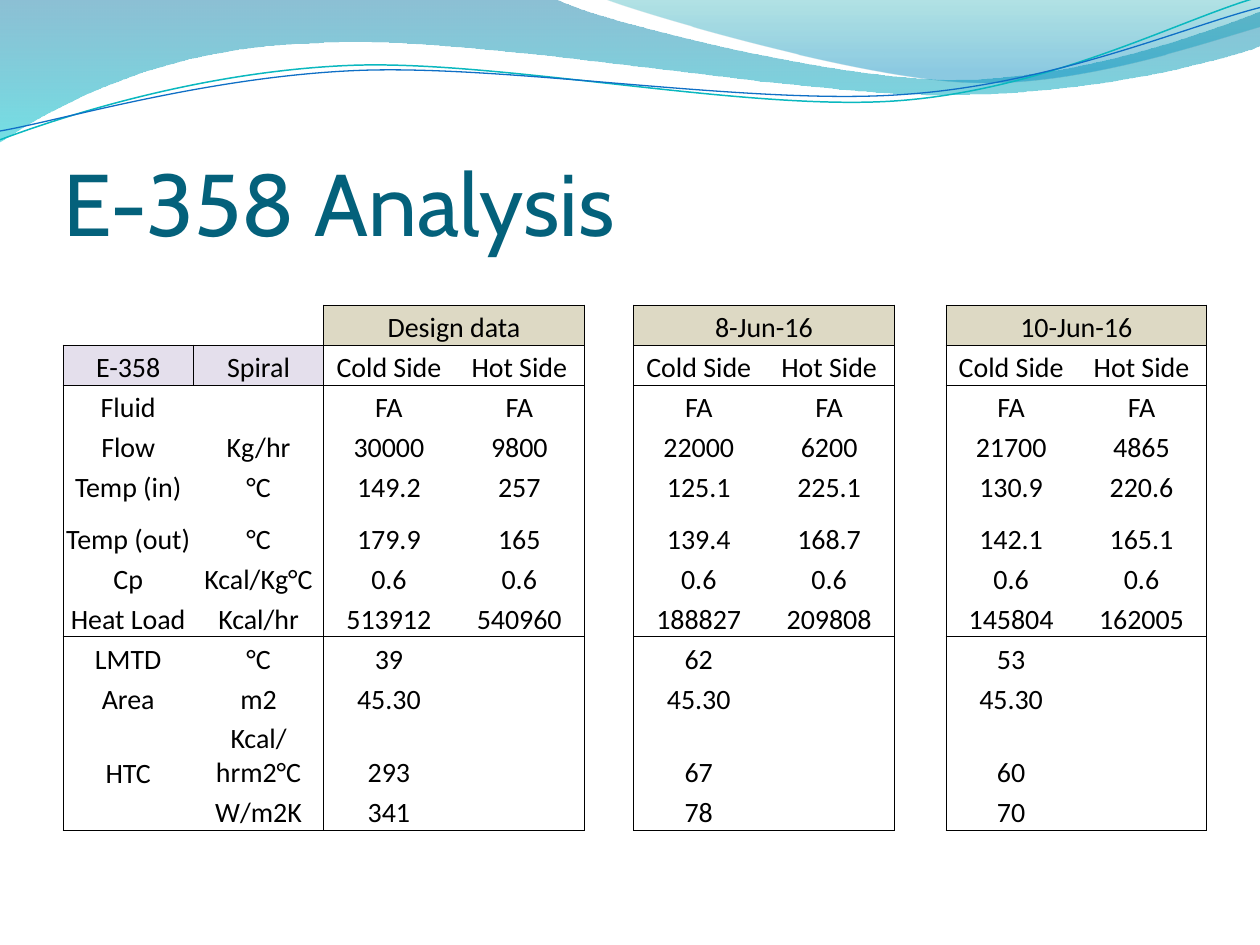
from lxml.etree import SubElement
from pptx import Presentation
from pptx.dml.color import RGBColor
from pptx.enum.text import MSO_ANCHOR as Anchor, MSO_AUTO_SIZE as AutoSize, PP_ALIGN as Align
from pptx.oxml.ns import qn
from pptx.util import Inches, Pt


def rgb(hex_colour):
    return RGBColor.from_string(hex_colour)


def draw_wave(shapes, start, segments, closed):
    corners = [(Inches(s[i]), Inches(s[i + 1])) for s in [start] + segments for i in range(0, len(s), 2)]
    builder = shapes.build_freeform(*corners[0])
    builder.add_line_segments(corners[1:], close=closed)
    wave = builder.convert_to_shape()
    wave.shadow.inherit = False
    outline = wave._element.xpath(".//a:path")[0]
    steps = iter(outline.findall(qn("a:lnTo")))
    for segment in segments:
        first = next(steps)
        if len(segment) == 6:
            curve = SubElement(outline, qn("a:cubicBezTo"))
            first.addprevious(curve)
            for step in (first, next(steps), next(steps)):
                curve.append(step[0])
                outline.remove(step)
    return wave


prs = Presentation()
prs.slide_width, prs.slide_height = Inches(10), Inches(7.5)
slide = prs.slides.add_slide(prs.slide_layouts[5])
shapes = slide.shapes

bands = [
    ((0, 0), [(4.4, -0.01), (4.76, 0.17, 6.64, 0.63, 7.58, 0.63), (8.53, 0.63, 9.58, 0.26, 10, 0.09),
              (10.01, 0.36), (9.83, 0.44, 8.7, 0.76, 7.46, 0.75), (6.22, 0.75, 3.82, 0.28, 2.57, 0.34),
              (1.29, 0.36, 0.46, 0.83, -0.01, 1.13)],
     [("0074A1", 45), ("00C6CF", 55)], 1),
    ((4.79, -0.01), [(5.09, 0.11, 6.82, 0.62, 7.69, 0.65), (8.56, 0.69, 9.61, 0.32, 10, 0.21), (10, 0)],
     [("00A1A9", 30), ("008BBF", 45)], 0.8),
]
for start, segments, colours, end in bands:
    band = draw_wave(shapes, start, segments, True)
    band.line.fill.background()
    band.fill.gradient()
    band.fill.gradient_angle = 270
    for stop, position, (colour, _) in zip(band.fill.gradient_stops, (0, end), colours):
        stop.position = position
        stop.color.rgb = rgb(colour)
    for tint, (_, opacity) in zip(band._element.xpath(".//a:gs/a:srgbClr"), colours):
        SubElement(tint, qn("a:alpha"), val=str(opacity * 1000))

strands = [
    ((0, 1.11), [(0.48, 0.93, 1.58, 0.57, 2.77, 0.52), (3.95, 0.47, 5.93, 0.89, 7.13, 0.8),
                 (8.33, 0.71, 9.38, 0.15, 9.98, -0.02)], "0AB8BF", 0.85),
    ((0, 1.04), [(0.47, 0.96, 1.64, 0.61, 2.83, 0.56), (4.03, 0.51, 5.97, 0.84, 7.17, 0.75),
                 (8.36, 0.67, 9.41, 0.21, 10, 0.06)], "0F6FC6", 0.75),
]
for start, segments, colour, width in strands:
    strand = draw_wave(shapes, start, segments, False)
    strand.fill.background()
    strand.line.color.rgb = rgb(colour)
    strand.line.width = Pt(width)

title = shapes.title
shapes._spTree.append(title._element)
title.left, title.top, title.width, title.height = Inches(0.5), Inches(0.77), Inches(9), Inches(1.25)
heading = title.text_frame
heading.text = "E-358 Analysis"
heading.auto_size = AutoSize.NONE
heading.vertical_anchor = Anchor.BOTTOM
heading.margin_left = heading.margin_right = heading.margin_bottom = 0
heading.margin_top = Inches(0.05)
heading.paragraphs[0].alignment = Align.LEFT
heading_font = heading.paragraphs[0].font
heading_font.name, heading_font.size, heading_font.color.rgb = "Cabin", Pt(50), rgb("04617B")

sides = ["Cold Side", "Hot Side"]
readings = [
    ["", "", "Design data", "", "8-Jun-16", "", "10-Jun-16", ""],
    ["E-358", "Spiral"] + sides * 3,
    ["Fluid", ""] + ["FA"] * 6,
    ["Flow", "Kg/hr", "30000", "9800", "22000", "6200", "21700", "4865"],
    ["Temp (in)", "°C", "149.2", "257", "125.1", "225.1", "130.9", "220.6"],
    ["Temp (out)", "°C", "179.9", "165", "139.4", "168.7", "142.1", "165.1"],
    ["Cp", "Kcal/Kg°C"] + ["0.6"] * 6,
    ["Heat Load", "Kcal/hr", "513912", "540960", "188827", "209808", "145804", "162005"],
    ["LMTD", "°C", "39", "", "62", "", "53", ""],
    ["Area", "m2"] + ["45.30", ""] * 3,
    ["HTC", "Kcal/hrm2°C", "293", "", "67", "", "60", ""],
    ["", "W/m2K", "341", "", "78", "", "70", ""],
]
data_columns = [0, 1, 2, 3, 5, 6, 8, 9]
period_columns = [2, 5, 8]
gap_widths = {4: 0.39, 7: 0.41}
tall_rows = {5: 0.41, 10: 0.58}
table_width, table_height = 9.08, 4.17
column_width = (table_width - sum(gap_widths.values())) / 8
row_height = (table_height - sum(tall_rows.values())) / 10

table = shapes.add_table(12, 10, Inches(0.5), Inches(2.42), Inches(table_width), Inches(table_height)).table
table.first_row = table.horz_banding = False
table._tbl.tblPr.find(qn("a:tableStyleId")).text = "{2D5ABB26-0587-4C30-8999-92F81FD0307C}"
for index, column in enumerate(table.columns):
    column.width = Inches(gap_widths.get(index, column_width))
for index, row in enumerate(table.rows):
    row.height = Inches(tall_rows.get(index, row_height))
for first in period_columns:
    table.cell(0, first).merge(table.cell(0, first + 1))
table.cell(10, 0).merge(table.cell(11, 0))

blocks = [(1, 1, 0, 0), (1, 1, 1, 1)]
blocks += [(row, row, first, first + 1) for row in (0, 1) for first in period_columns]
blocks += [(top, bottom, first, first + 1) for top, bottom in [(2, 7), (8, 11)] for first in [0] + period_columns]
upright_rules, level_rules = set(), set()
for top, bottom, first, last in blocks:
    upright_rules |= {(r, c) for r in range(top, bottom + 1) for c in (first, last + 1)}
    level_rules |= {(r, c) for r in (top, bottom + 1) for c in range(first, last + 1)}

for r in range(12):
    for c in range(10):
        cell = table.cell(r, c)
        cell.margin_left = cell.margin_right = cell.margin_top = Inches(0.01)
        cell.margin_bottom = 0
        cell.vertical_anchor = Anchor.BOTTOM
        edges = [
            ("a:lnL", (r, c) in upright_rules),
            ("a:lnR", (r, c + cell.span_width) in upright_rules),
            ("a:lnT", (r, c) in level_rules),
            ("a:lnB", (r + cell.span_height, c) in level_rules),
        ]
        for tag, ruled in edges:
            border = SubElement(cell._tc.get_or_add_tcPr(), qn(tag), w=str(Pt(0.5)))
            if ruled:
                SubElement(SubElement(border, qn("a:solidFill")), qn("a:srgbClr"), val="000000")
            else:
                SubElement(border, qn("a:noFill"))
        if r == 0 and c in data_columns[2:]:
            cell.fill.solid()
            cell.fill.fore_color.rgb = rgb("DDD9C4")
        elif r == 1 and c < 2:
            cell.fill.solid()
            cell.fill.fore_color.rgb = rgb("E4DFEC")
        else:
            cell.fill.background()
table.cell(10, 0).vertical_anchor = Anchor.MIDDLE

for r, values in enumerate(readings):
    for c, value in zip(data_columns, values):
        if value:
            cell = table.cell(r, c)
            cell.text = value
            entry = cell.text_frame.paragraphs[0]
            entry.alignment = Align.CENTER
            entry.font.name, entry.font.size, entry.font.color.rgb = "Calibri", Pt(16), rgb("000000")

prs.save("out.pptx")
